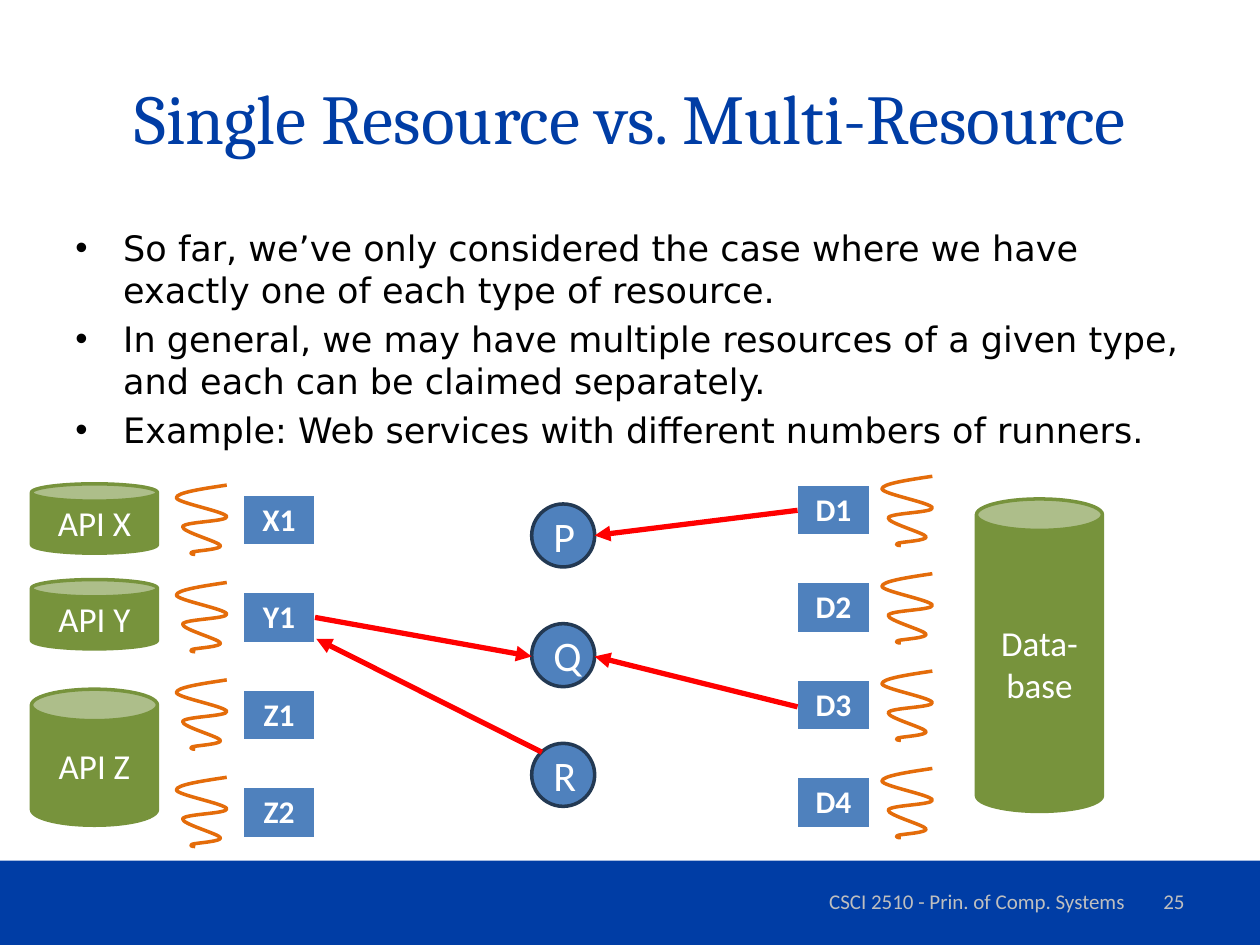
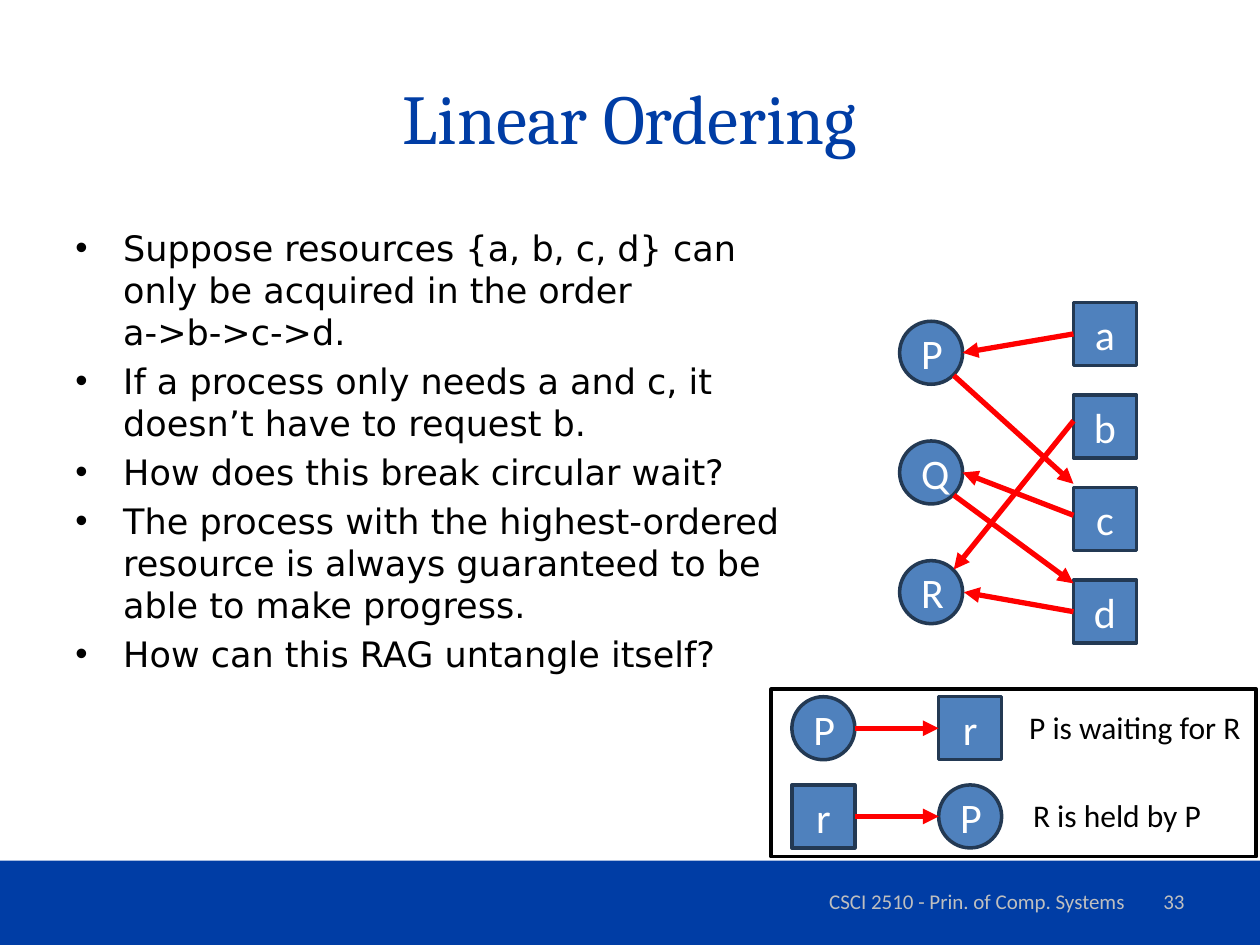
from dataclasses import dataclass
from typing import Any

from lxml.etree import SubElement
from pptx import Presentation
from pptx.dml.color import RGBColor
from pptx.enum.shapes import MSO_CONNECTOR, MSO_SHAPE
from pptx.enum.text import MSO_ANCHOR, PP_ALIGN
from pptx.oxml.ns import qn
from pptx.util import Emu, Inches, Pt

# Slide grid: 100 columns by 75 rows
WIDE, HIGH = Inches(10), Inches(7.5)
COLS, ROWS = 100, 75

HUES = {
    "royal": "003DA5", "white": "FFFFFF", "black": "000000", "gray": "BFBFBF",
    "green": "77933C", "blue": "4F81BD", "navy": "233953", "red": "FF0000",
    "rust": "E46C0A",
}
FONTS = {
    "title": {"name": "Cambria", "size": Pt(40)},
    "body": {"name": "DejaVu Sans", "size": Pt(20)},
    "foot": {"name": "Calibri", "size": Pt(12)},
    "can": {"name": "Calibri", "size": Pt(20)},
    "node": {"name": "Calibri", "size": Pt(24)},
    "cell": {"name": "Calibri", "size": Pt(18), "bold": True},
    "note": {"name": "Calibri", "size": Pt(18)},
}
BOX, DOT, CAN = MSO_SHAPE.RECTANGLE, MSO_SHAPE.OVAL, MSO_SHAPE.CAN
LEFT, RIGHT = 1, 3  # connection sites of a rectangle
SIDE = 5            # width and height of a graph node
DOT_GAP = 9.5       # rows from one process to the next
BOX_GAP = 7.35      # rows from one resource to the next
RUN_GAP = 7.73      # rows from one runner to the next

# Thread curve: start, then three points for each Bezier part
CURL = [
    (4, 0), (2, .3), (0, .6), (0, 1), (0, 1.4), (3.9, 2.1), (4, 2.5),
    (4.1, 2.9), (.6, 2.9), (.5, 3.3), (.4, 3.7), (3.4, 4.5), (3.5, 4.8),
    (3.6, 5.1), (1.7, 5.2), (1.3, 5.3), (1, 5.4), (1.2, 5.5), (1.5, 5.5),
]


@dataclass
class Area:
    x: float
    y: float
    w: float
    h: float

    def place(self) -> tuple[Emu, Emu, Emu, Emu]:
        return col(self.x), row(self.y), col(self.w), row(self.h)


@dataclass
class Node:
    text: str
    kind: Any
    x: float
    y: float


@dataclass
class Link:
    x1: float
    y1: float
    x2: float
    y2: float
    start: tuple | None = None  # (shape, site)
    end: tuple | None = None


@dataclass
class Pool:
    names: list[str]
    cell_x: float
    cell_y: float
    curl_x: float
    curl_y: float


def col(n: float) -> Emu:
    return Emu(round(WIDE * n / COLS))


def row(n: float) -> Emu:
    return Emu(round(HIGH * n / ROWS))


def tint(hue: str) -> RGBColor:
    return RGBColor.from_string(HUES[hue])


def write(frame: Any, lines: list[str], font: str, hue: str, align: Any = None) -> None:
    for i, line in enumerate(lines):
        para = frame.paragraphs[0] if i == 0 else frame.add_paragraph()
        para.text, para.alignment = line, align
        for run in para.runs:
            for key, value in FONTS[font].items():
                setattr(run.font, key, value)
            run.font.color.rgb = tint(hue)


def add_text(pane: Any, area: Area, lines: list[str], font: str, hue: str,
             align: Any = None, anchor: Any = MSO_ANCHOR.MIDDLE, wrap: bool = True) -> Any:
    frame = pane.add_textbox(*area.place()).text_frame
    frame.word_wrap, frame.vertical_anchor = wrap, anchor
    write(frame, lines, font, hue, align)
    return frame


def add_form(pane: Any, kind: Any, area: Area, fill: str, edge: str | None = None,
             text: str = "", font: str = "node") -> Any:
    form = pane.add_shape(kind, *area.place())
    form.shadow.inherit = False
    form.fill.solid()
    form.fill.fore_color.rgb = tint(fill)
    if edge:
        form.line.color.rgb, form.line.width = tint(edge), Pt(2)
    else:
        form.line.fill.background()
    if text:
        write(form.text_frame, [text], font, "white", PP_ALIGN.CENTER)
    return form


def add_node(pane: Any, node: Node) -> Any:
    return add_form(pane, node.kind, Area(node.x, node.y, SIDE, SIDE), "blue", "navy", node.text)


def add_link(pane: Any, link: Link) -> None:
    line = pane.add_connector(MSO_CONNECTOR.STRAIGHT, col(link.x1), row(link.y1),
                              col(link.x2), row(link.y2))
    if link.start:
        line.begin_connect(*link.start)
    if link.end:
        line.end_connect(*link.end)
    line.line.color.rgb, line.line.width = tint("red"), Pt(3)
    props = line._element.spPr
    SubElement(props.find(qn("a:ln")), qn("a:tailEnd"), type="triangle")
    SubElement(props, qn("a:effectLst"))


def add_curl(pane: Any, x: float, y: float) -> None:
    spots = [(col(x + dx), row(y + dy)) for dx, dy in CURL]
    pen = pane.build_freeform(*spots[0])
    pen.add_line_segments(spots[1:], close=False)
    curl = pen.convert_to_shape()
    curl.shadow.inherit = False
    curl.fill.background()
    curl.line.color.rgb, curl.line.width = tint("rust"), Pt(2)
    # Turn each three line points into one Bezier part
    trace = next(curl._element.iter(qn("a:path")))
    steps = trace.findall(qn("a:lnTo"))
    for i in range(0, len(steps), 3):
        bend = SubElement(trace, qn("a:cubicBezTo"))
        for step in steps[i:i + 3]:
            bend.append(step[0])
            trace.remove(step)


def add_cell(pane: Any, text: str, x: float, y: float) -> None:
    table = pane.add_table(1, 1, *Area(x, y, 5.7, 4.1).place()).table
    table.horz_banding = False
    cell = table.cell(0, 0)
    props = cell._tc.get_or_add_tcPr()
    for side, width in (("L", 1), ("R", 1), ("T", 1), ("B", 3)):
        edge = SubElement(props, qn(f"a:ln{side}"), w=str(Pt(width)))
        paint = SubElement(edge, qn("a:solidFill"))
        SubElement(paint, qn("a:srgbClr"), val=HUES["white"])
    cell.fill.solid()
    cell.fill.fore_color.rgb = tint("blue")
    write(cell.text_frame, [text], "cell", "white", PP_ALIGN.CENTER)


def add_pool(pane: Any, pool: Pool) -> None:
    for i, name in enumerate(pool.names):
        add_curl(pane, pool.curl_x, pool.curl_y + i * RUN_GAP)
        add_cell(pane, name, pool.cell_x, pool.cell_y + i * RUN_GAP)


def add_points(pane: Any, points: list[str], width: float) -> None:
    frame = add_text(pane, Area(5, 17.5, width, 49.5), points, "body", "black",
                     anchor=MSO_ANCHOR.TOP)
    for i, para in enumerate(frame.paragraphs):
        props = para._p.get_or_add_pPr()
        props.set("marL", str(Inches(.38)))
        props.set("indent", str(-Inches(.38)))
        SubElement(props, qn("a:buFont"), typeface="Arial")
        SubElement(props, qn("a:buChar"), char="•")
        para.space_before = Pt(4 if i else 0)


def add_page(deck: Any, title: str, number: int, points: list[str], width: float) -> Any:
    pane = deck.slides.add_slide(deck.slide_layouts[6]).shapes
    add_form(pane, BOX, Area(0, 68.3, COLS, 6.7), "royal")
    add_text(pane, Area(5, 3, 90, 12.5), [title], "title", "royal", PP_ALIGN.CENTER)
    add_points(pane, points, width)
    add_text(pane, Area(61.7, 69.5, 31.7, 4), ["CSCI 2510 - Prin. of Comp. Systems"],
             "foot", "gray", PP_ALIGN.CENTER)
    add_text(pane, Area(71.7, 69.5, 23.3, 4), [str(number)], "foot", "gray", PP_ALIGN.RIGHT)
    return pane


def draw_multi(deck: Any) -> None:
    pane = add_page(deck, "Single Resource vs. Multi-Resource", 25, [
        "So far, we’ve only considered the case where we have exactly one of each type of resource.",
        "In general, we may have multiple resources of a given type, and each can be claimed separately.",
        "Example: Web services with different numbers of runners.",
    ], 90)
    # Services and their runners
    cans = {
        "API X": Area(2.5, 38.4, 10, 5.5),
        "API Y": Area(2.5, 46, 10, 5.5),
        "API Z": Area(2.5, 54.7, 10, 10.8),
        "Data-base": Area(77.5, 39.6, 10, 24.8),
    }
    for name, area in cans.items():
        add_form(pane, CAN, area, "green", "green", name, "can")
    add_pool(pane, Pool(["X1", "Y1", "Z1", "Z2"], 19.3, 39.3, 14, 38.5))
    add_pool(pane, Pool(["D1", "D2", "D3", "D4"], 63.3, 38.5, 70, 37.8))
    # Processes and claims
    for i, name in enumerate("PQR"):
        add_node(pane, Node(name, DOT, 42.2, 40 + i * DOT_GAP))
    for link in (
        Link(63.3, 40.5, 47.2, 42.5),
        Link(63.3, 56.1, 47.2, 52.1),
        Link(25, 49, 42.2, 52.1),
        Link(43, 59.7, 25.1, 50.7),
    ):
        add_link(pane, link)


def draw_key(pane: Any) -> None:
    group = pane.add_group_shape().shapes
    add_form(group, BOX, Area(61.2, 54.7, 38.5, 13.3), "white", "black")
    key = [
        ("P", DOT, "r", BOX, "P is waiting for R", 80.7, 19),
        ("r", BOX, "P", DOT, "R is held by P", 81, 15.5),
    ]
    for i, (name, kind, goal, shape, note, x, w) in enumerate(key):
        y = 55.3 + 7 * i
        first = add_node(group, Node(name, kind, 62.85, y))
        last = add_node(group, Node(goal, shape, 74.5, y))
        mid = y + SIDE / 2
        add_link(group, Link(62.85 + SIDE, mid, 74.5, mid,
                             (first, RIGHT) if kind == BOX else None,
                             (last, LEFT) if shape == BOX else None))
        add_text(group, Area(x, y + .4, w, 4), [note], "note", "black",
                 anchor=MSO_ANCHOR.TOP, wrap=False)


def draw_order(deck: Any) -> None:
    pane = add_page(deck, "Linear Ordering", 33, [
        "Suppose resources {a, b, c, d} can only be acquired in the order\va->b->c->d.",
        "If a process only needs a and c, it doesn’t have to request b.",
        "How does this break circular wait?",
        "The process with the highest-ordered resource is always guaranteed to be able to make progress.",
        "How can this RAG untangle itself?",
    ], 58.3)
    # Processes and resources
    for i, name in enumerate("PQR"):
        add_node(pane, Node(name, DOT, 71.4, 25.5 + i * DOT_GAP))
    goods = {name: add_node(pane, Node(name, BOX, 85.2, 24 + i * BOX_GAP))
             for i, name in enumerate("abcd")}
    # Holds, then waits
    for link in (
        Link(85.2, 26.5, 76.4, 28, start=(goods["a"], LEFT)),
        Link(85.2, 40.9, 76.4, 37.5),
        Link(85.2, 33.4, 75.7, 45.2),
        Link(85.2, 48.5, 76.5, 47, start=(goods["d"], LEFT)),
        Link(75.7, 29.8, 85.2, 38.4),
        Link(75.7, 39.3, 85.2, 46.3),
    ):
        add_link(pane, link)
    draw_key(pane)


def main() -> None:
    deck = Presentation()
    deck.slide_width, deck.slide_height = WIDE, HIGH
    draw_multi(deck)
    draw_order(deck)
    deck.save("out.pptx")


if __name__ == "__main__":
    main()
